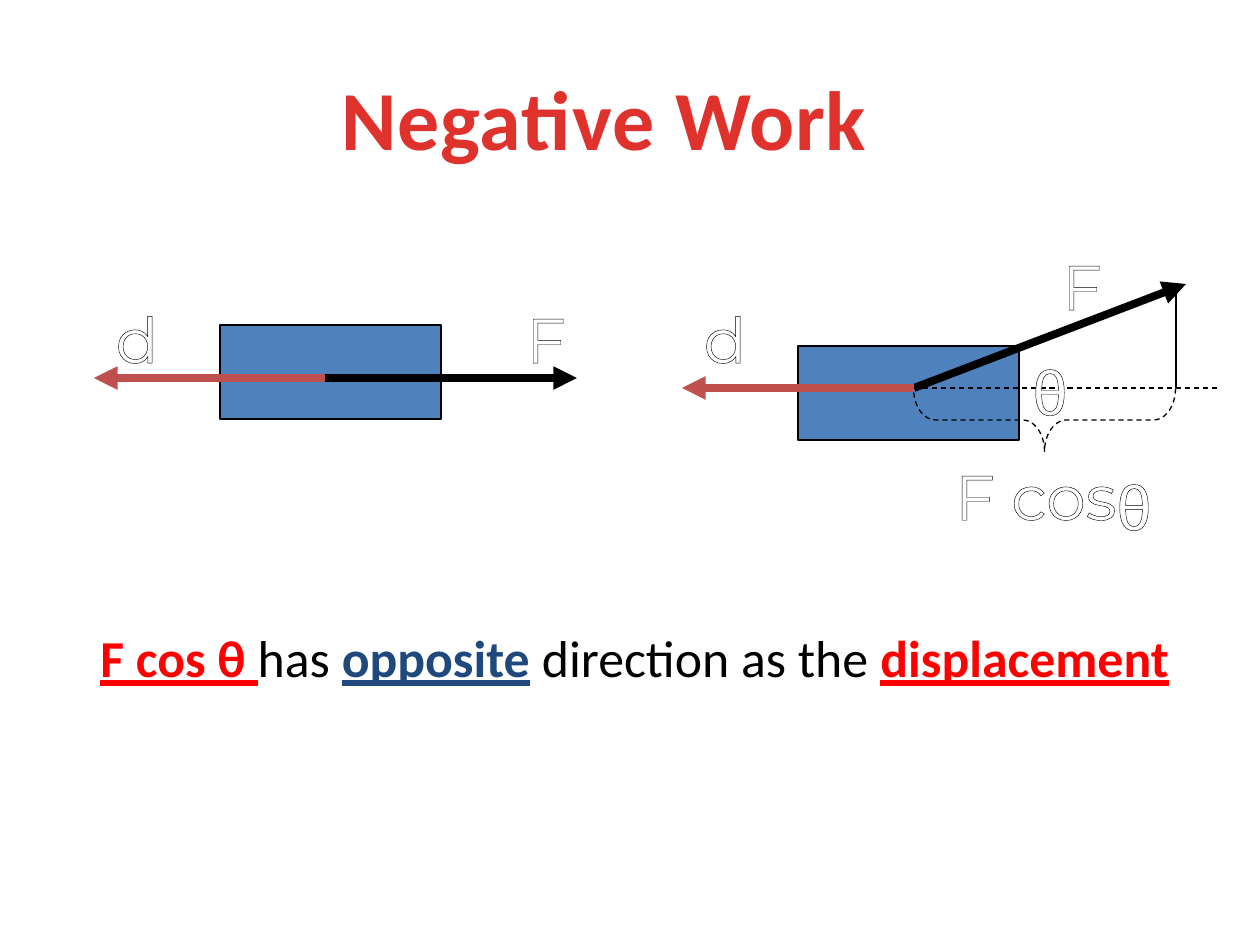
from lxml.etree import SubElement
from pptx import Presentation
from pptx.dml.color import RGBColor
from pptx.enum.dml import MSO_LINE
from pptx.enum.shapes import MSO_CONNECTOR, MSO_SHAPE
from pptx.enum.text import MSO_ANCHOR, PP_ALIGN
from pptx.oxml.ns import qn
from pptx.util import Emu, Pt

PX = 914400 / 126
COLORS = {
    "title": "E0322D", "block": "4F81BD", "force": "000000", "displacement": "C0504D",
    "text": "000000", "label": "FFFFFF", "key": "FF0000", "opposite": "1F497D",
}


def px(*lengths):
    return [Emu(round(length * PX)) for length in lengths]


def add_run(paragraph, text, font="Calibri", size=36, color="text",
            bold=False, underline=False, outlined=False, spacing=None):
    run = paragraph.add_run()
    run.text = text
    run.font.name, run.font.size = font, Pt(size)
    run.font.bold, run.font.underline = bold, underline
    run.font.color.rgb = RGBColor.from_string(COLORS[color])
    properties = run.font._element
    if spacing:
        properties.set("spc", str(spacing))
    if outlined:
        outline = SubElement(properties, qn("a:ln"), w=str(Pt(0.75)))
        fill = SubElement(outline, qn("a:solidFill"))
        SubElement(fill, qn("a:srgbClr"), val=COLORS["text"])
        properties.insert(0, outline)


prs = Presentation()
prs.slide_width, prs.slide_height = px(1260, 945)
slide = prs.slides.add_slide(prs.slide_layouts[5])
shapes = slide.shapes

title = shapes.title
title.left, title.top, title.width, title.height = px(63, 38, 1102, 158)
title.text_frame.vertical_anchor = MSO_ANCHOR.MIDDLE
heading = title.text_frame.paragraphs[0]
heading.alignment = PP_ALIGN.CENTER
add_run(heading, "Negative Work ", size=48, color="title", bold=True, spacing=50)

# Blocks, and the brace that spans the horizontal part of the slanted force
for kind, box in [
    (MSO_SHAPE.RECTANGLE, (220, 325, 221, 94)),
    (MSO_SHAPE.RECTANGLE, (798, 346, 221, 94)),
    (MSO_SHAPE.RIGHT_BRACE, (1013, 289, 63, 262)),
]:
    shape = shapes.add_shape(kind, *px(*box))
    shape.shadow.inherit = False
    shape.line.color.rgb = RGBColor.from_string(COLORS["force"])
    shape.line.width = Pt(0.75)
    if kind == MSO_SHAPE.RIGHT_BRACE:
        shape.rotation = 90
        shape.adjustments[0], shape.adjustments[1] = 0.35, 0.5
        shape.fill.background()
        shape.line.dash_style = MSO_LINE.DASH
    else:
        shape.fill.solid()
        shape.fill.fore_color.rgb = RGBColor.from_string(COLORS["block"])

# Vectors and guide lines: start, end, colour, width, arrow, dashed
for start, end, color, width, arrow, dashed in [
    ((914, 388), (1186, 284), "force", 4.5, True, False),
    ((914, 388), (1218, 388), "force", 0.75, False, True),
    ((1176, 284), (1176, 388), "force", 0.75, False, False),
    ((325, 378), (94, 378), "displacement", 4.5, True, False),
    ((325, 378), (577, 378), "force", 4.5, True, False),
    ((914, 388), (682, 388), "displacement", 4.5, True, False),
]:
    vector = shapes.add_connector(MSO_CONNECTOR.STRAIGHT, *px(*start, *end))
    vector.line.color.rgb = RGBColor.from_string(COLORS[color])
    vector.line.width = Pt(width)
    if dashed:
        vector.line.dash_style = MSO_LINE.DASH
    if arrow:
        SubElement(vector.line._get_or_add_ln(), qn("a:tailEnd"), type="triangle")
    SubElement(vector._element.spPr, qn("a:effectLst"))

# Outlined letters, in boxes wide enough to keep each label on one line
for text, font, box in [
    ("F", "Montserrat", (523, 294, 46, 58)),
    ("F", "Montserrat", (1059, 241, 46, 58)),
    ("θ", "Arial", (1111, 461, 46, 48)),
    ("F cos ", "Montserrat", (946, 451, 196, 58)),
    ("d", "Montserrat", (114, 294, 46, 58)),
    ("d", "Montserrat", (702, 294, 46, 58)),
    ("θ", "Arial", (1027, 346, 46, 32)),
]:
    label = shapes.add_textbox(*px(*box)).text_frame
    label.word_wrap = False
    label.margin_left = label.margin_right = 0
    label.paragraphs[0].alignment = PP_ALIGN.CENTER
    add_run(label.paragraphs[0], text, font=font, color="label", outlined=True)

statement = shapes.add_textbox(*px(88, 620, 1130, 126)).text_frame
statement.word_wrap = True
for text, color, stressed in [
    ("F cos θ ", "key", True),
    ("has ", "text", False),
    ("opposite", "opposite", True),
    (" direction as the ", "text", False),
    ("displacement", "key", True),
]:
    add_run(statement.paragraphs[0], text, size=29.6, color=color,
            bold=stressed, underline=stressed)

prs.save("out.pptx")
